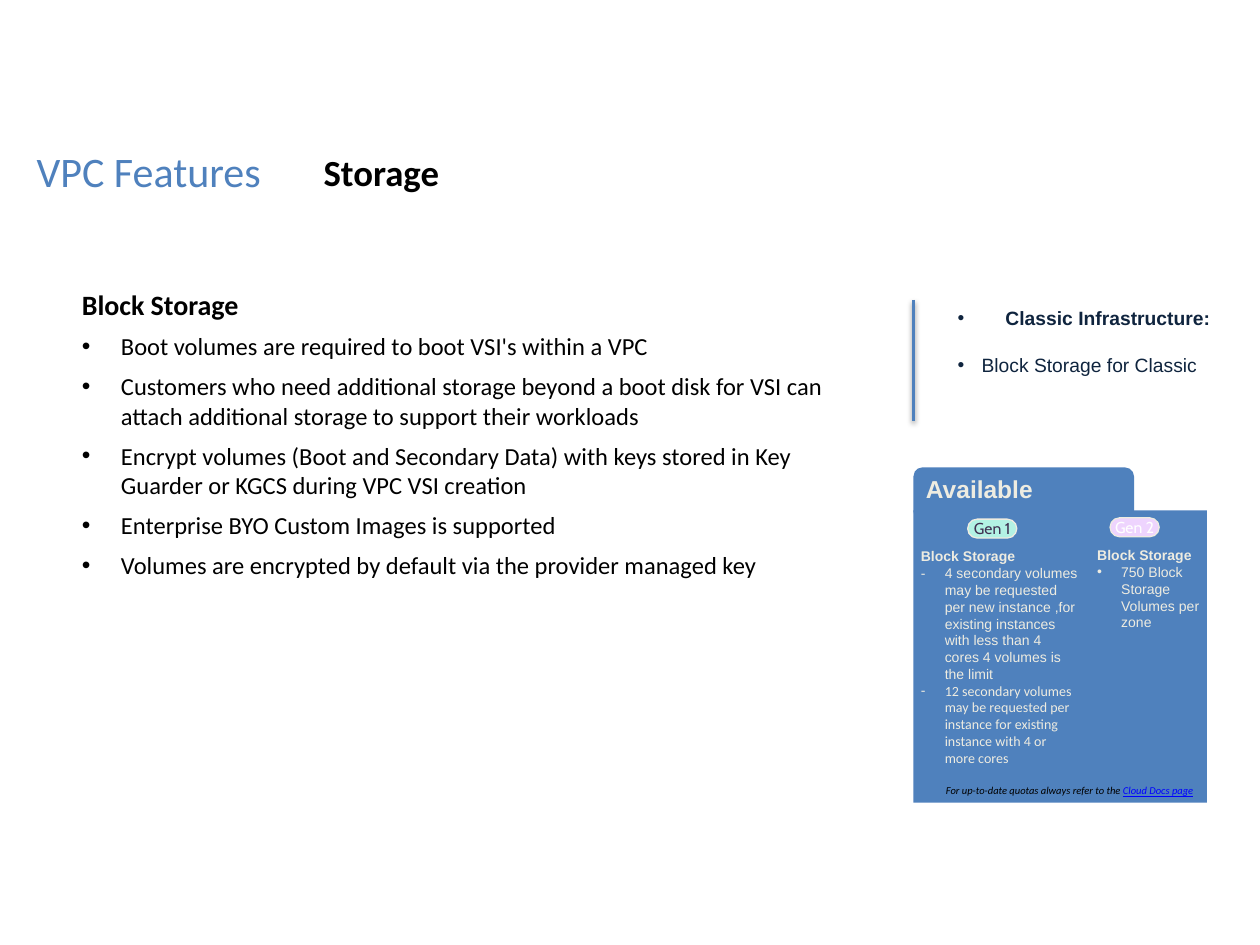
"""Build the VPC block storage features slide."""
from lxml import etree
from pptx import Presentation
from pptx.dml.color import RGBColor
from pptx.enum.shapes import MSO_CONNECTOR, MSO_SHAPE
from pptx.enum.text import MSO_ANCHOR, MSO_AUTO_SIZE, PP_ALIGN
from pptx.oxml.ns import qn
from pptx.util import Inches, Pt

STRAIGHT = MSO_CONNECTOR.STRAIGHT
RECTANGLE, ROUNDED = MSO_SHAPE.RECTANGLE, MSO_SHAPE.ROUNDED_RECTANGLE
TOP, MIDDLE = MSO_ANCHOR.TOP, MSO_ANCHOR.MIDDLE
LEFT, CENTER, RIGHT = PP_ALIGN.LEFT, PP_ALIGN.CENTER, PP_ALIGN.RIGHT
NO_FIT = MSO_AUTO_SIZE.NONE
COLORS = {
    "blue": "4F81BD", "navy": "0F243E", "black": "000000", "cream": "EEECE1",
    "white": "FFFFFF", "purple": "403152", "link": "0000FF",
    "mint": "B3F2E4", "lilac": "EED4FE",
}


def color(name):
    return RGBColor.from_string(COLORS[name])


def add_text(frame, text, size, ink, font="Calibri", bold=False, italic=False,
             underline=False, bullet=None, indent=0, before=0, align=LEFT,
             spacing=1.0, same_line=False):
    paragraph = frame.paragraphs[-1]
    if paragraph.runs and not same_line:
        paragraph = frame.add_paragraph()
    if not same_line:
        properties = paragraph._p.get_or_add_pPr()
        properties.set("marL", str(Inches(indent)))
        properties.set("indent", str(-Inches(indent)))
        if bullet:
            etree.SubElement(properties, qn("a:buFont")).set("typeface", "Arial")
            etree.SubElement(properties, qn("a:buChar")).set("char", bullet)
        else:
            etree.SubElement(properties, qn("a:buNone"))
        paragraph.alignment = align
        paragraph.line_spacing = spacing
        paragraph.space_before = Pt(before)
    run = paragraph.add_run()
    run.text = text
    run.font.size, run.font.name = Pt(size), font
    run.font.bold, run.font.italic, run.font.underline = bold, italic, underline
    run.font.color.rgb = color(ink)


prs = Presentation()
prs.slide_width, prs.slide_height = Inches(10), Inches(7.5)
slide = prs.slides.add_slide(prs.slide_layouts[3])
shapes = slide.shapes

title, features, classic = slide.placeholders
for holder, box in (
    (title, (0.19, 1.15, 3.05, 0.52)),
    (features, (0.55, 2.23, 6.13, 2.44)),
    (classic, (7.5, 2.38, 2.27, 2.45)),
):
    holder.left, holder.top, holder.width, holder.height = map(Inches, box)
    holder.text_frame.auto_size = NO_FIT
    holder.text_frame.vertical_anchor = TOP

add_text(title.text_frame, "VPC Features", 24, "blue", spacing=0.9)

add_text(features.text_frame, "Block Storage", 16, "black", bold=True)
for feature in (
    "Boot volumes are required to boot VSI's within a VPC",
    "Customers who need additional storage beyond a boot disk for VSI can "
    "attach additional storage to support their workloads",
    "Encrypt volumes (Boot and Secondary Data) with keys stored in Key "
    "Guarder or KGCS during VPC VSI creation",
    "Enterprise BYO Custom Images is supported",
    "Volumes are encrypted by default via the provider managed key",
):
    add_text(features.text_frame, feature, 14, "black", bullet="•",
             indent=0.31, before=6)

add_text(classic.text_frame, "Classic Infrastructure:", 11, "navy", "Arial",
         bold=True, bullet="•", indent=0.38)
add_text(classic.text_frame, "Block Storage for Classic", 11, "navy", "Arial",
         bullet="•", indent=0.19, before=13.5)

for kind, box in (
    (RECTANGLE, (7.25, 4.05, 2.33, 2.32)),
    (ROUNDED, (7.25, 3.71, 1.75, 0.42)),
):
    panel = shapes.add_shape(kind, *map(Inches, box))
    panel.shadow.inherit = False
    panel.fill.solid()
    panel.fill.fore_color.rgb = color("blue")
    panel.line.fill.background()

divider = shapes.add_connector(STRAIGHT, Inches(7.25), Inches(2.38),
                               Inches(7.25), Inches(3.34))
divider.line.color.rgb = color("blue")
divider.line.width = Pt(2)
effects = etree.SubElement(divider._element.spPr, qn("a:effectLst"))
shadow = etree.SubElement(effects, qn("a:outerShdw"), blurRad=str(Pt(3.1)),
                          dist=str(Pt(1.6)), dir="5400000", rotWithShape="0")
shade = etree.SubElement(shadow, qn("a:srgbClr"), val=COLORS["black"])
etree.SubElement(shade, qn("a:alpha"), val="38000")

frames = []
for box in (
    (7.25, 3.71, 1.05, 0.34),
    (2.47, 1.18, 7.69, 0.52),
    (2.47, 6.2, 7, 0.15),
    (7.21, 4.3, 1.46, 1.85),
    (8.61, 4.29, 1.1, 0.77),
):
    frame = shapes.add_textbox(*map(Inches, box)).text_frame
    frame.word_wrap = True
    frames.append(frame)
available, topic, quota_note, gen1_quota, gen2_quota = frames

available.word_wrap = False
add_text(available, "Available", 14, "cream", "Arial", bold=True)
add_text(topic, "Storage", 21, "black", bold=True, spacing=0.9)

quota_note.margin_left = quota_note.margin_right = 0
quota_note.margin_top = quota_note.margin_bottom = 0
quota_note.vertical_anchor = MIDDLE
add_text(quota_note, "For up-to-date quotas always refer to the ", 6, "black",
         italic=True, align=RIGHT)
add_text(quota_note, "Cloud Docs page", 6, "link", italic=True,
         underline=True, same_line=True)

for quota in (gen1_quota, gen2_quota):
    add_text(quota, "Block Storage", 8, "cream", "Arial", bold=True)
for quota, text, font, mark in (
    (gen1_quota, "4 secondary volumes may be requested per new instance ,for "
     "existing instances with less than 4 cores 4 volumes is the limit",
     "Arial", "-"),
    (gen1_quota, "12 secondary volumes may be requested per instance for "
     "existing instance with 4 or more cores", "Calibri", "-"),
    (gen2_quota, "750 Block Storage Volumes per zone", "Arial", "•"),
):
    add_text(quota, text, 8, "cream", font, bullet=mark, indent=0.19)

for label, left, top, fill, ink in (
    ("Gen 2", 8.81, 4.11, "lilac", "white"),
    ("Gen 1", 7.68, 4.12, "mint", "purple"),
):
    badge = shapes.add_shape(ROUNDED, Inches(left), Inches(top),
                             Inches(0.39), Inches(0.15))
    badge.adjustments[0] = 0.5
    badge.shadow.inherit = False
    badge.fill.solid()
    badge.fill.fore_color.rgb = color(fill)
    badge.line.color.rgb = color("cream")
    badge.line.width = Pt(0.75)
    frame = badge.text_frame
    frame.margin_left = frame.margin_right = 0
    frame.margin_top = frame.margin_bottom = 0
    frame.vertical_anchor = MIDDLE
    add_text(frame, label, 9, ink, "Cabin", align=CENTER)

prs.save("out.pptx")
